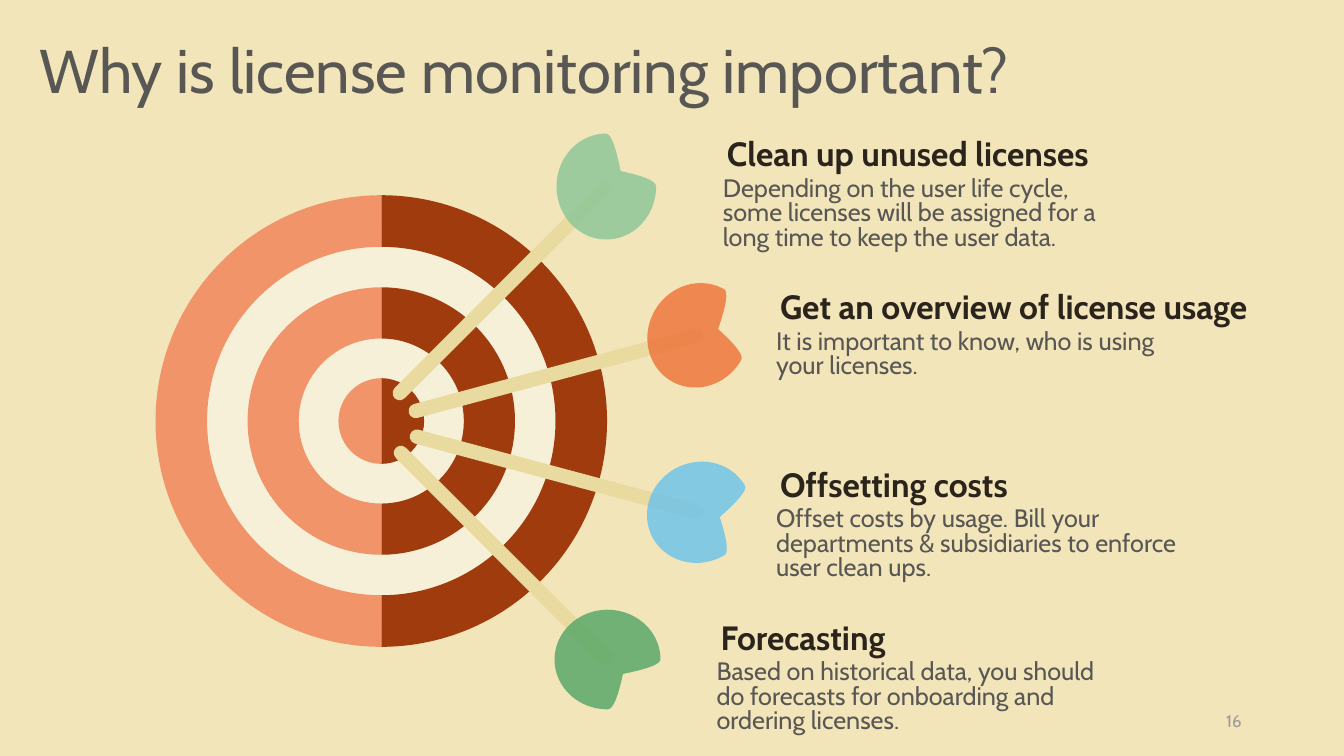
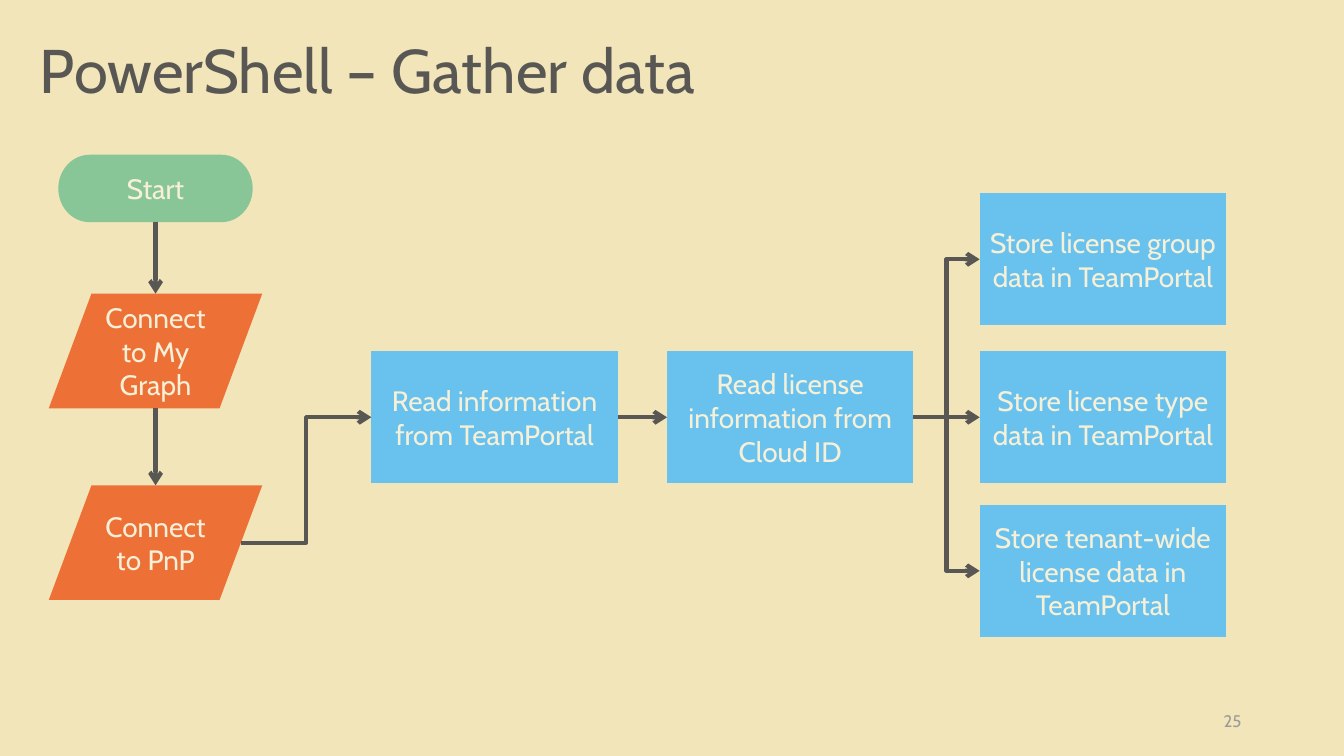
import math

import pptx
import pptx.util
import pptx.dml.color
import pptx.enum.shapes
import pptx.enum.text
import pptx.oxml
import pptx.oxml.ns

Cm = pptx.util.Cm
Pt = pptx.util.Pt
RGB = pptx.dml.color.RGBColor
Kind = pptx.enum.shapes.MSO_SHAPE
Wire = pptx.enum.shapes.MSO_CONNECTOR
Align = pptx.enum.text.PP_ALIGN
Anchor = pptx.enum.text.MSO_ANCHOR
Fit = pptx.enum.text.MSO_AUTO_SIZE
qn = pptx.oxml.ns.qn

FONT = "Cabin"
SAND = RGB(0xF2, 0xE5, 0xBA)
CREAM = RGB(0xF6, 0xF0, 0xD8)
STRAW = RGB(0xE9, 0xDA, 0xA0)
BROWN = RGB(0xA0, 0x3B, 0x0E)
PEACH = RGB(0xF2, 0x94, 0x6A)
ORANGE = RGB(0xED, 0x70, 0x36)
MINT = RGB(0x88, 0xC5, 0x97)
GREEN = RGB(0x51, 0xA5, 0x65)
BLUE = RGB(0x69, 0xC2, 0xED)
GREY = RGB(0x59, 0x57, 0x54)
PALE = RGB(0x9B, 0x9A, 0x99)
DARK = RGB(0x2B, 0x24, 0x1C)


def write(shape, text, size, color, align=Align.LEFT, anchor=Anchor.MIDDLE):
    """Fill a shape with one styled paragraph and return its paragraph."""
    frame = shape.text_frame
    frame.word_wrap = True
    frame.vertical_anchor = anchor
    frame.text = text
    para = frame.paragraphs[0]
    para.alignment = align
    font = para.runs[0].font
    font.name, font.size, font.color.rgb = FONT, Pt(size), color
    return para


def paint(shape, color):
    """Give a shape a flat fill with no outline or shadow."""
    shape.shadow.inherit = False
    shape.fill.solid()
    shape.fill.fore_color.rgb = color
    shape.line.fill.background()
    return shape


deck = pptx.Presentation()
deck.slide_width, deck.slide_height = Cm(33.87), Cm(19.05)
back = deck.slide_master.background.fill
back.solid()
back.fore_color.rgb = SAND

slides = []
for title, page in [("Why is license monitoring important?", "16"),
                    ("PowerShell – Gather data", "25")]:
    slide = deck.slides.add_slide(deck.slide_layouts[6])
    box = slide.shapes.add_textbox(Cm(0.75), 0, Cm(29.21), Cm(3.7))
    write(box, title, 44, GREY).line_spacing = 0.9
    box = slide.shapes.add_textbox(Cm(23.92), Cm(17.65), Cm(7.62), Cm(1.02))
    write(box, page, 12, PALE, Align.RIGHT)
    slides.append(slide)
goals, flow = slides

# Target: a cream disc under half rings, brown right and peach left
mid_x, mid_y, disc = 9.61, 10.61, 4.98
rings = [(1.08, 0), (3.37, 2.08), (5.69, 4.39)]
paint(goals.shapes.add_shape(Kind.OVAL, Cm(mid_x - disc), Cm(mid_y - disc),
                             Cm(2 * disc), Cm(2 * disc)), CREAM)
for color, start, stop in [(BROWN, 162, 54), (PEACH, 54, 162)]:
    for outer, inner in rings:
        half = goals.shapes.add_shape(
            Kind.BLOCK_ARC, Cm(mid_x - outer), Cm(mid_y - outer),
            Cm(2 * outer), Cm(2 * outer))
        half.adjustments[0] = start  # 54 is straight down, 162 straight up
        half.adjustments[1] = stop
        half.adjustments[2] = (outer - inner) / (2 * outer)
        paint(half, color)

# Arrows: angle, flight centre and colour; then heading place, width and texts
shaft_w, shaft_h, reach = 0.36, 7.67, 3.71
wing_w, wing_h = 2.51, 2.67
items = [
    (45, 15.28, 4.7, MINT, 18.07, 3.23, 9.91, "Clean up unused licenses",
     "Depending on the user life cycle, some licenses will be assigned "
     "for a long time to keep the user data."),
    (75, 17.59, 8.45, ORANGE, 19.41, 7.09, 12.7,
     "Get an overview of license usage",
     "It is important to know, who is using your licenses."),
    (105, 17.62, 12.91, BLUE, 19.41, 11.56, 6.63, "Offsetting costs",
     "Offset costs by usage. Bill your departments & subsidiaries to "
     "enforce user clean ups."),
    (135, 15.31, 16.62, GREEN, 17.91, 15.42, 4.95, "Forecasting",
     "Based on historical data, you should do forecasts for onboarding "
     "and ordering licenses."),
]
for angle, x, y, color, left, top, width, head, body in items:
    group = goals.shapes.add_group_shape().shapes
    turn = math.radians(angle)
    shaft_x = x - reach * math.sin(turn)
    shaft_y = y + reach * math.cos(turn)
    shaft = group.add_shape(
        Kind.ROUNDED_RECTANGLE, Cm(shaft_x - shaft_w / 2),
        Cm(shaft_y - shaft_h / 2), Cm(shaft_w), Cm(shaft_h))
    shaft.adjustments[0] = 0.5
    shaft.rotation = angle
    paint(shaft, STRAW)

    wing = group.add_shape(Kind.TEAR, Cm(x - wing_w / 2), Cm(y - wing_h / 2),
                           Cm(wing_w), Cm(wing_h))
    wing.adjustments[0] = 0.29
    wing.rotation = angle - 45.3
    paint(wing, color)
    tint = wing._element.spPr.find(".//" + qn("a:srgbClr"))
    tint.append(pptx.oxml.parse_xml(
        f'<a:alpha {pptx.oxml.ns.nsdecls("a")} val="80000"/>'))

    box = goals.shapes.add_textbox(Cm(left), Cm(top), Cm(width), Cm(1.27))
    write(box, head, 24, DARK).runs[0].font.bold = True
    box.text_frame.word_wrap = False
    box.text_frame.auto_size = Fit.SHAPE_TO_FIT_TEXT
    box = goals.shapes.add_textbox(Cm(left - 0.15), Cm(top + 1.1),
                                   Cm(10.72), Cm(2.24))
    para = write(box, body, 18, GREY, anchor=Anchor.TOP)
    para.line_spacing = Pt(17.5)
    frame = box.text_frame
    frame.auto_size = Fit.SHAPE_TO_FIT_TEXT
    frame.margin_left = frame.margin_right = Cm(0.3)
    frame.margin_top = frame.margin_bottom = Cm(0.15)

# Flow chart: size and colour by kind, then one row per step
looks = {
    Kind.FLOWCHART_TERMINATOR: (4.9, 1.7, MINT),
    Kind.FLOWCHART_DATA: (5.38, 2.89, ORANGE),
    Kind.FLOWCHART_PROCESS: (6.21, 3.33, BLUE),
}
steps = [
    ("start", Kind.FLOWCHART_TERMINATOR, 1.47, 3.9, "Start"),
    ("graph", Kind.FLOWCHART_DATA, 1.23, 7.4, "Connect to My Graph"),
    ("pnp", Kind.FLOWCHART_DATA, 1.23, 12.23, "Connect to PnP"),
    ("read", Kind.FLOWCHART_PROCESS, 9.36, 8.85,
     "Read information from TeamPortal"),
    ("cloud", Kind.FLOWCHART_PROCESS, 16.81, 8.85,
     "Read license information from Cloud ID"),
    ("type", Kind.FLOWCHART_PROCESS, 24.69, 8.85,
     "Store license type data in TeamPortal"),
    ("team", Kind.FLOWCHART_PROCESS, 24.69, 4.87,
     "Store license group data in TeamPortal"),
    ("whole", Kind.FLOWCHART_PROCESS, 24.69, 12.72,
     "Store tenant-wide license data in TeamPortal"),
]
nodes = {}
for name, kind, left, top, text in steps:
    width, height, color = looks[kind]
    node = flow.shapes.add_shape(kind, Cm(left), Cm(top), Cm(width), Cm(height))
    write(paint(node, color), text, 20, CREAM, Align.CENTER)
    nodes[name] = node

slant = Cm(0.54)  # the right side of a parallelogram lies inside its frame
links = [
    ("start", "graph", Wire.STRAIGHT), ("graph", "pnp", Wire.STRAIGHT),
    ("pnp", "read", Wire.ELBOW), ("read", "cloud", Wire.STRAIGHT),
    ("cloud", "type", Wire.STRAIGHT), ("cloud", "team", Wire.ELBOW),
    ("cloud", "whole", Wire.ELBOW),
]
for first, last, kind in links:
    src, dst = nodes[first], nodes[last]
    if last in ("graph", "pnp"):
        x = dst.left + dst.width // 2
        ends = x, src.top + src.height, x, dst.top
    else:
        inset = slant if first == "pnp" else 0
        ends = (src.left + src.width - inset, src.top + src.height // 2,
                dst.left, dst.top + dst.height // 2)
    line = flow.shapes.add_connector(kind, *ends)
    if first in ("read", "cloud"):
        line.begin_connect(src, 3)
        line.end_connect(dst, 1)
    line.line.color.rgb = GREY
    line.line.width = Pt(3)
    props = line._element.spPr
    props.find(qn("a:ln")).append(pptx.oxml.parse_xml(
        f'<a:tailEnd {pptx.oxml.ns.nsdecls("a")} type="arrow"/>'))
    props.append(pptx.oxml.parse_xml(
        f'<a:effectLst {pptx.oxml.ns.nsdecls("a")}/>'))

deck.save("out.pptx")
